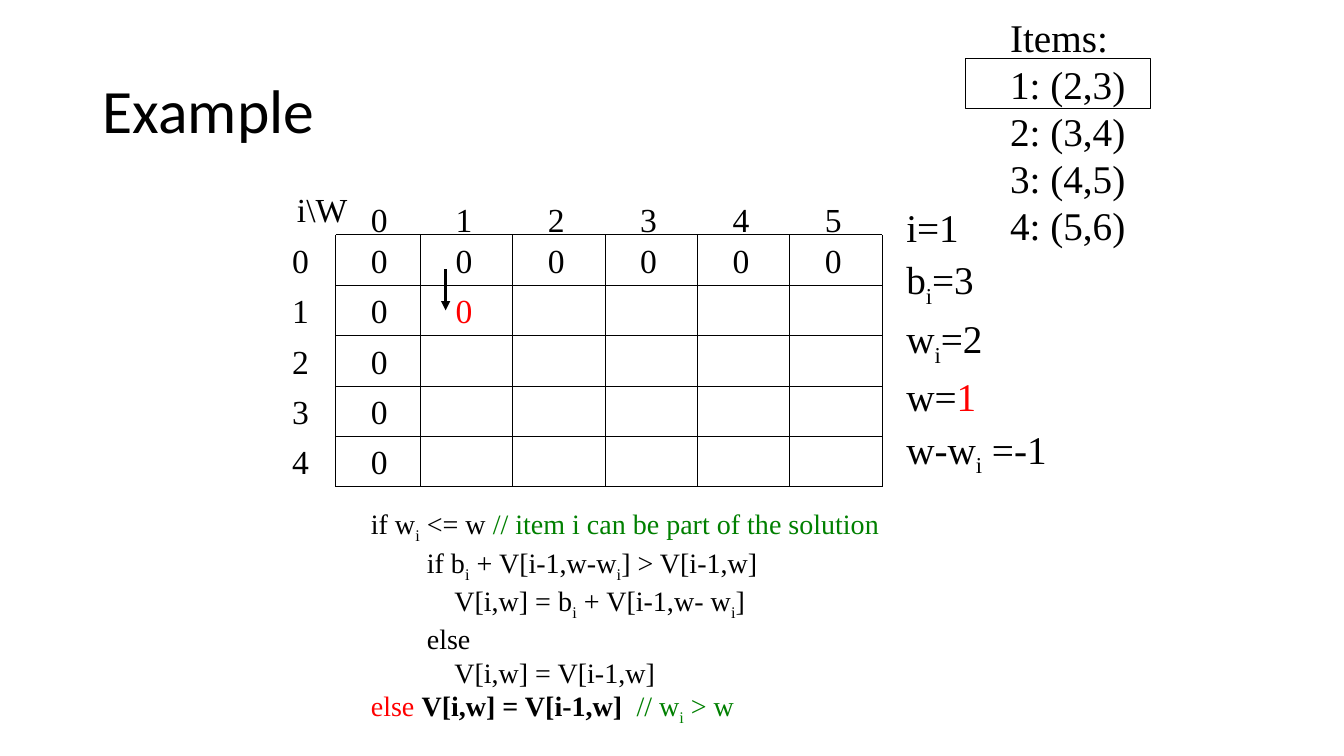
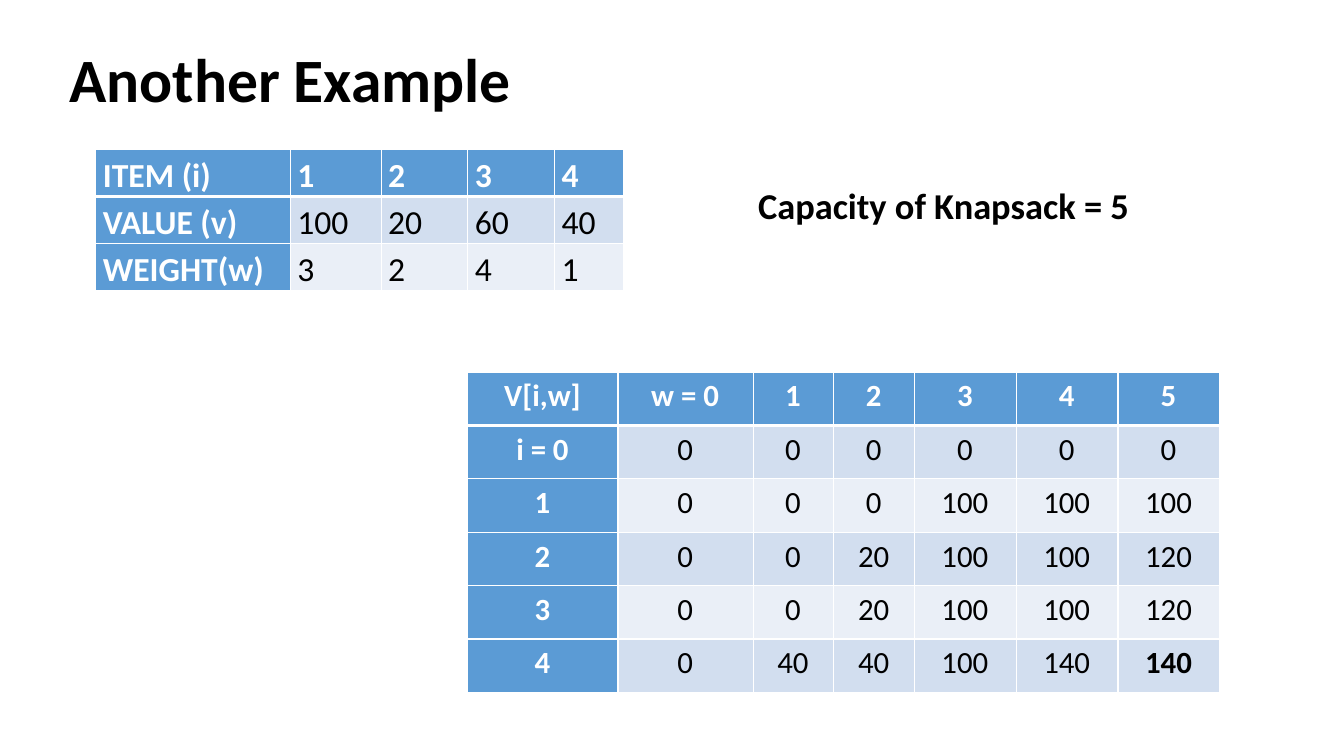
from dataclasses import dataclass
from typing import NamedTuple

from lxml.etree import SubElement
from pptx import Presentation
from pptx.dml.color import RGBColor
from pptx.enum.shapes import MSO_CONNECTOR, MSO_SHAPE
from pptx.enum.text import MSO_ANCHOR, MSO_AUTO_SIZE, PP_ALIGN
from pptx.oxml import parse_xml
from pptx.oxml.ns import nsdecls, qn
from pptx.shapes.connector import Connector
from pptx.slide import Slide
from pptx.table import _Cell
from pptx.text.text import Font, _Paragraph
from pptx.util import Inches, Pt

BLACK, WHITE, RED, GREEN = "000000", "FFFFFF", "FF0000", "008000"
HEADER_FILL, BAND_FILLS = "5B9BD5", ("D2DEEF", "EAEFF7")
SANS, SERIF = "Calibri", "Times New Roman"
TITLE_SIZE, GRID_SIZE = 44, 24


class Box(NamedTuple):
    left: float
    top: float
    width: float
    height: float


class Span(NamedTuple):
    """Text in one colour; parts between underscores are subscripts."""
    text: str
    color: str = BLACK
    bold: bool = False


Line = list[Span]


@dataclass
class TextStyle:
    size: float
    font: str = SERIF
    line_spacing: float = 1.0
    align: PP_ALIGN = PP_ALIGN.LEFT
    wrap: bool = True
    anchor: MSO_ANCHOR = MSO_ANCHOR.TOP
    grow: bool = True


@dataclass
class TableDesign:
    left: float
    top: float
    column_widths: list[float]
    row_heights: list[float]
    rows: list[list[str]]
    size: float
    align: PP_ALIGN
    anchor: MSO_ANCHOR
    margin_right: float
    bold_cells: tuple[tuple[int, int], ...] = ()


def rgb(color: str) -> RGBColor:
    return RGBColor.from_string(color)


def format_font(font: Font, name: str, size: float, color: str, bold: bool) -> None:
    font.name, font.size, font.bold = name, Pt(size), bold
    font.color.rgb = rgb(color)


def add_spans(paragraph: _Paragraph, line: Line, style: TextStyle) -> None:
    for span in line:
        for index, part in enumerate(span.text.split("_")):
            if not part:
                continue
            run = paragraph.add_run()
            run.text = part
            format_font(run.font, style.font, style.size, span.color, span.bold)
            if index % 2:
                run.font._element.set("baseline", "-25000")


def add_text(slide: Slide, box: Box, lines: list[Line], style: TextStyle) -> None:
    shape = slide.shapes.add_textbox(*map(Inches, box))
    frame = shape.text_frame
    frame.word_wrap = style.wrap
    frame.vertical_anchor = style.anchor
    frame.auto_size = MSO_AUTO_SIZE.SHAPE_TO_FIT_TEXT if style.grow else MSO_AUTO_SIZE.NONE
    for index, line in enumerate(lines):
        paragraph = frame.add_paragraph() if index else frame.paragraphs[0]
        paragraph.alignment = style.align
        paragraph.line_spacing = style.line_spacing
        add_spans(paragraph, line, style)


def add_title(slide: Slide, box: Box, text: str, bold: bool = False) -> None:
    style = TextStyle(TITLE_SIZE, SANS, 0.9, anchor=MSO_ANCHOR.MIDDLE, grow=False)
    add_text(slide, box, [[Span(text, bold=bold)]], style)


def add_line(slide: Slide, start: tuple[float, float], end: tuple[float, float],
             width: float = 0.75) -> Connector:
    connector = slide.shapes.add_connector(
        MSO_CONNECTOR.STRAIGHT, *map(Inches, (*start, *end)))
    connector.line.color.rgb = rgb(BLACK)
    connector.line.width = Pt(width)
    SubElement(connector._element.spPr, qn("a:effectLst"))
    return connector


def add_arrow(slide: Slide, start: tuple[float, float], end: tuple[float, float]) -> None:
    connector = add_line(slide, start, end, 2.25)
    SubElement(connector.line._get_or_add_ln(), qn("a:tailEnd"), type="triangle")


def set_borders(cell: _Cell, top: float, bottom: float) -> None:
    properties = cell._tc.get_or_add_tcPr()
    widths = {"lnL": 1, "lnR": 1, "lnT": top, "lnB": bottom}
    for index, (side, width) in enumerate(widths.items()):
        properties.insert(index, parse_xml(
            f'<a:{side} {nsdecls("a")} w="{Pt(width)}"><a:solidFill>'
            f'<a:srgbClr val="{WHITE}"/></a:solidFill></a:{side}>'))


def add_table(slide: Slide, design: TableDesign) -> None:
    """Draw a table with a filled first row and column and banded values."""
    box = Box(design.left, design.top, sum(design.column_widths), sum(design.row_heights))
    table = slide.shapes.add_table(
        len(design.rows), len(design.column_widths), *map(Inches, box)).table
    table.first_row = table.horz_banding = False
    for column, width in zip(table.columns, design.column_widths):
        column.width = Inches(width)
    for row, height in zip(table.rows, design.row_heights):
        row.height = Inches(height)
    for row, texts in enumerate(design.rows):
        for column, text in enumerate(texts):
            cell = table.cell(row, column)
            heading = row == 0 or column == 0
            cell.fill.solid()
            cell.fill.fore_color.rgb = rgb(HEADER_FILL if heading else BAND_FILLS[(row - 1) % 2])
            set_borders(cell, 3 if row == 1 else 1, 3 if row == 0 else 1)
            cell.margin_left, cell.margin_right = Inches(0.07), Inches(design.margin_right)
            cell.margin_top = cell.margin_bottom = 0
            cell.vertical_anchor = design.anchor
            paragraph = cell.text_frame.paragraphs[0]
            paragraph.text = text
            paragraph.alignment, paragraph.line_spacing = design.align, 1.15
            format_font(paragraph.runs[0].font, SANS, design.size,
                        WHITE if heading else BLACK,
                        heading or (row, column) in design.bold_cells)


def add_value_grid(slide: Slide) -> None:
    """Draw the 5 by 6 grid of V[i,w] with its row and column labels."""
    row_count, column_count = 5, 6
    left, first_edge, right = 3.33, 4.17, 8.75
    top, row_height = 2.33, 0.5
    column_width = (right - first_edge) / (column_count - 1)
    column_edges = [left] + [first_edge + index * column_width for index in range(column_count)]
    row_edges = [top + index * row_height for index in range(row_count + 1)]
    for x in column_edges:
        add_line(slide, (x, row_edges[0]), (x, row_edges[-1]))
    for y in row_edges:
        add_line(slide, (left, y), (right, y))

    def add_number(x: float, y: float, number: int, color: str = BLACK) -> None:
        add_text(slide, Box(x, y, 0.37, 0.5), [[Span(str(number), color)]],
                 TextStyle(GRID_SIZE, wrap=False))

    number_lefts = [x + 0.25 for x in column_edges[:-1]]
    for column, x in enumerate(number_lefts):
        add_number(x, 1.92, column)
        add_number(x, top, 0)
    for row, y in enumerate(row_edges[:-1]):
        add_number(2.8, y, row)
        if row:
            add_number(number_lefts[0], y, 0)
    add_number(number_lefts[1], row_edges[1], 0, RED)
    add_text(slide, Box(2.82, 1.83, 0.75, 0.5), [[Span("i\\W")]],
             TextStyle(GRID_SIZE, align=PP_ALIGN.CENTER))
    add_arrow(slide, (4.42, 2.67), (4.42, 3.08))


def build_example(slide: Slide) -> None:
    code = [
        [Span("if w_i_ <= w "), Span("// item i can be part of the solution", GREEN)],
        [Span("        if b_i_ + V[i-1,w-w_i_] > V[i-1,w]")],
        [Span("            V[i,w] = b_i_ + V[i-1,w- w_i_]")],
        [Span("        else")],
        [Span("            V[i,w] = V[i-1,w]")],
        [Span("else ", RED), Span("V[i,w] = V[i-1,w]  ", bold=True), Span("// w_i_ > w", GREEN)],
    ]
    items = ["Items:", "1: (2,3)", "2: (3,4)", "3: (4,5)", "4: (5,6)"]
    state = [
        [Span("i=1")],
        [Span("b_i_=3")],
        [Span("w_i_=2")],
        [Span("w="), Span("1", RED)],
        [Span("w-w_i_ =-1")],
    ]
    add_text(slide, Box(3.58, 4.98, 7.58, 2.1), code, TextStyle(20))
    add_text(slide, Box(9.92, 0.08, 1.44, 2.44), [[Span(item)] for item in items],
             TextStyle(28, wrap=False))
    current_item = slide.shapes.add_shape(
        MSO_SHAPE.RECTANGLE, *map(Inches, Box(9.58, 0.58, 1.83, 0.5)))
    current_item.shadow.inherit = False
    current_item.fill.background()
    current_item.line.color.rgb = rgb(BLACK)
    current_item.line.width = Pt(0.75)
    add_text(slide, Box(8.89, 1.92, 1.61, 2.67), state, TextStyle(28, line_spacing=1.1))
    add_value_grid(slide)
    add_title(slide, Box(0.92, 0.4, 11.5, 1.45), "Example")


def build_another_example(slide: Slide) -> None:
    add_title(slide, Box(0.59, 0.33, 10.82, 0.97), "Another Example", bold=True)
    add_table(slide, TableDesign(
        0.95, 1.48, [1.93, 0.9, 0.86, 0.86, 0.69], [0.47, 0.47, 0.45],
        [["ITEM (i)", "1", "2", "3", "4"],
         ["VALUE (v)", "100", "20", "60", "40"],
         ["WEIGHT(w)", "3", "2", "4", "1"]],
        24, PP_ALIGN.JUSTIFY, MSO_ANCHOR.MIDDLE, 0.07))
    add_table(slide, TableDesign(
        4.64, 3.69, [1.49, 1.34, 0.8, 0.8, 1.01, 1.01, 1.01], [0.53] * 6,
        [["V[i,w]", "w = 0", "1", "2", "3", "4", "5"],
         ["i = 0", "0", "0", "0", "0", "0", "0"],
         ["1", "0", "0", "0", "100", "100", "100"],
         ["2", "0", "0", "20", "100", "100", "120"],
         ["3", "0", "0", "20", "100", "100", "120"],
         ["4", "0", "40", "40", "100", "140", "140"]],
        22, PP_ALIGN.CENTER, MSO_ANCHOR.TOP, 0.08, bold_cells=((5, 6),)))
    add_text(slide, Box(7.42, 1.77, 3.92, 0.54),
             [[Span("Capacity of Knapsack = 5", bold=True)]],
             TextStyle(26, SANS, wrap=False))


def main() -> None:
    presentation = Presentation()
    presentation.slide_width, presentation.slide_height = Inches(13.33), Inches(7.5)
    blank_layout = presentation.slide_layouts[6]
    for build in (build_example, build_another_example):
        build(presentation.slides.add_slide(blank_layout))
    presentation.save("out.pptx")


if __name__ == "__main__":
    main()
